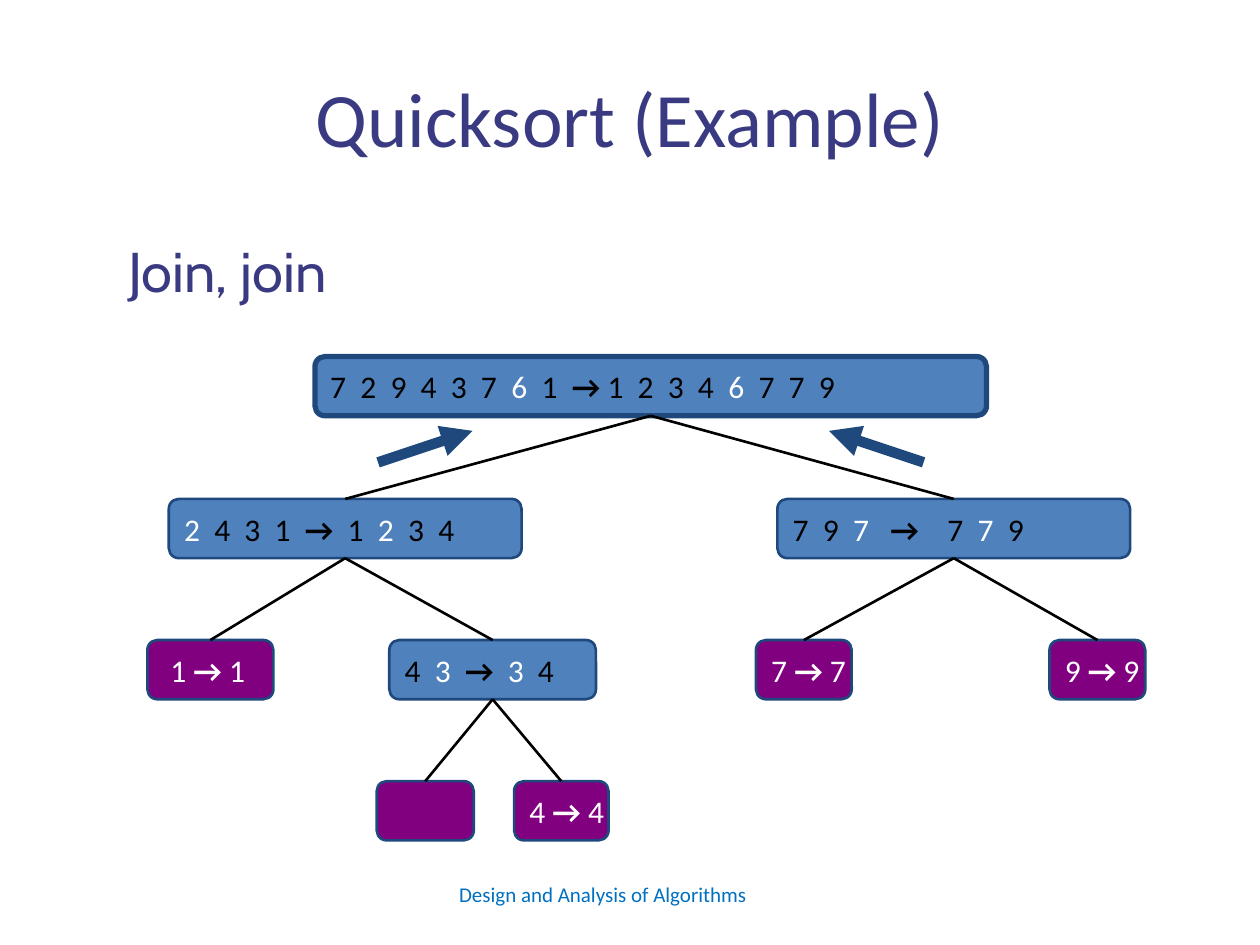
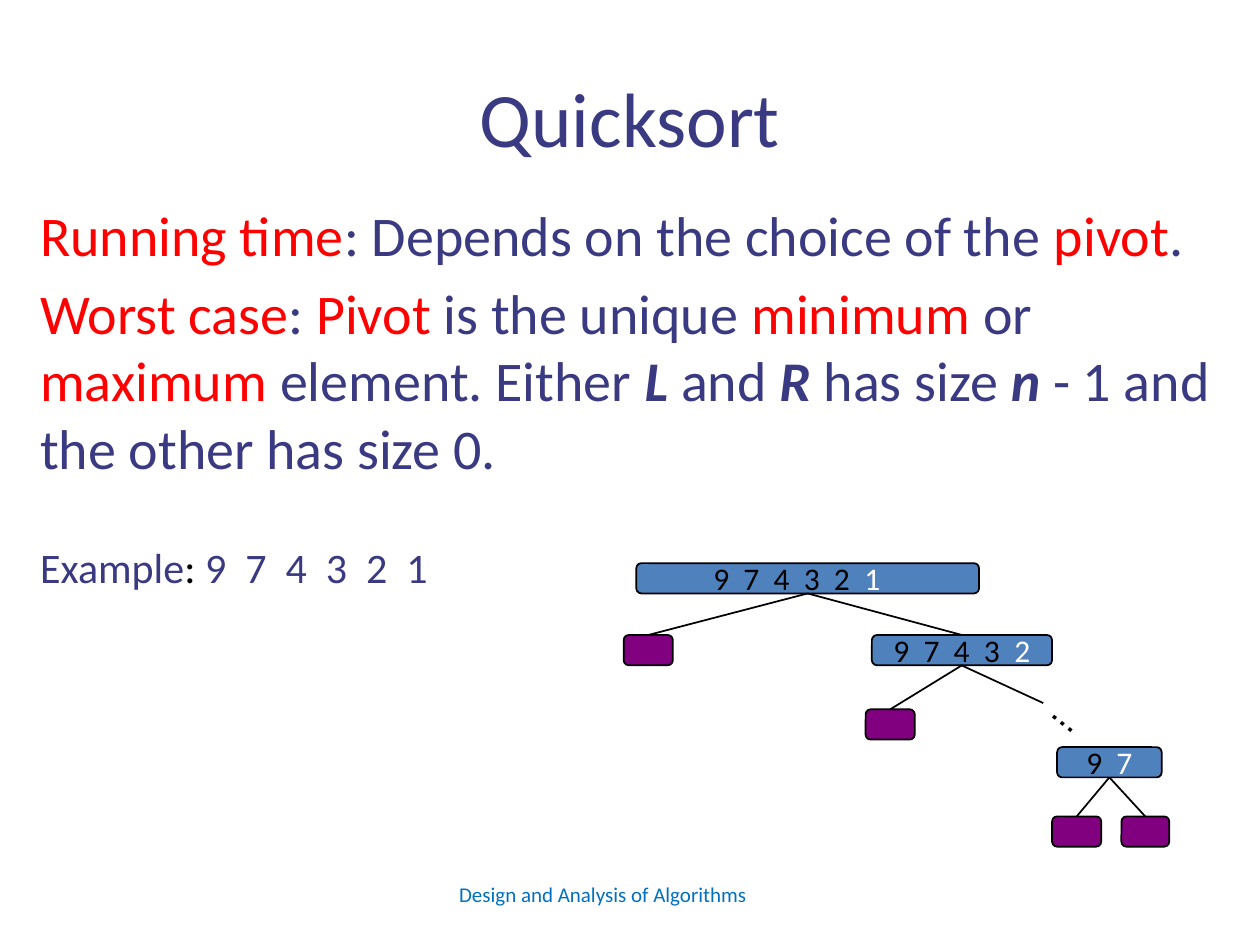
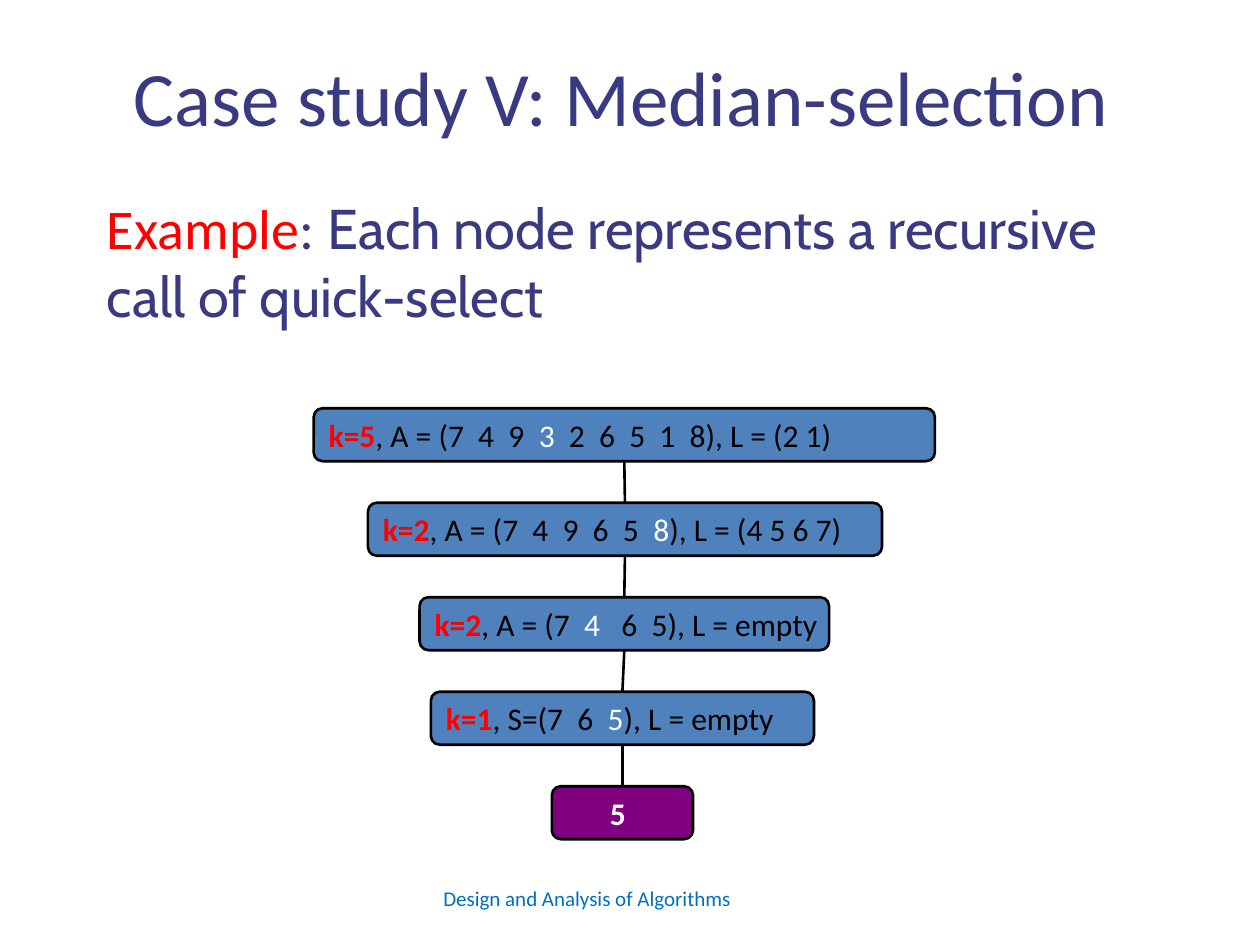
from lxml import etree
from pptx import Presentation
from pptx import util as u
from pptx.dml.color import RGBColor
from pptx.enum import shapes, text
from pptx.oxml.ns import qn

PX = 9144  # 100 px to the inch

NAVY = RGBColor(0x3A, 0x3A, 0x82)
RED = RGBColor(0xFF, 0x00, 0x00)
BLACK = RGBColor(0x00, 0x00, 0x00)
WHITE = RGBColor(0xFF, 0xFF, 0xFF)
BLUE = RGBColor(0x4F, 0x81, 0xBD)
DARK_BLUE = RGBColor(0x1F, 0x49, 0x7D)
PURPLE = RGBColor(0x80, 0x00, 0x80)
FOOTER_BLUE = RGBColor(0x00, 0x70, 0xC0)

LEFT, CENTER = text.PP_ALIGN.LEFT, text.PP_ALIGN.CENTER
TOP, MIDDLE = text.MSO_ANCHOR.TOP, text.MSO_ANCHOR.MIDDLE

# Run styles: colour and font settings
STYLES = {
    "black": (BLACK, {}),
    "white": (WHITE, {}),
    "navy": (NAVY, {}),
    "red": (RED, {}),
    "footer": (FOOTER_BLUE, {}),
    "arrow": (BLACK, {"bold": True}),
    "white bold": (WHITE, {"bold": True}),
    "key": (RED, {"bold": True}),
    "variable": (NAVY, {"bold": True, "italic": True}),
    "cabin": (NAVY, {"name": "Cabin"}),
    "dots": (BLACK, {"name": "Cabin"}),
}


def write(frame, paragraphs, size, align=LEFT, anchor=TOP, wrap=True, inset=10, before=0):
    """Fill a text frame with paragraphs, each a list of (style, words) runs."""
    frame.auto_size = text.MSO_AUTO_SIZE.NONE
    frame.word_wrap = wrap
    frame.vertical_anchor = anchor
    frame.margin_left = inset * PX
    for number, runs in enumerate(paragraphs):
        paragraph = frame.add_paragraph() if number else frame.paragraphs[0]
        paragraph.alignment = align
        paragraph.space_before = u.Pt(before)
        for style, words in runs:
            run = paragraph.add_run()
            run.text = words
            colour, settings = STYLES[style]
            for key, value in {"name": "Calibri", "size": u.Pt(size), **settings}.items():
                setattr(run.font, key, value)
            run.font.color.rgb = colour


def line(slide, start, end, colour, width):
    connector = slide.shapes.add_connector(
        shapes.MSO_CONNECTOR.STRAIGHT, *(v * PX for v in start + end))
    connector.line.color.rgb = colour
    connector.line.width = u.Pt(width)
    etree.SubElement(connector._element.spPr, qn("a:effectLst"))
    return connector


def_title = {"at": (50, 30, 900, 125), "align": CENTER, "anchor": MIDDLE, "inset": 10}
def_footer = {"at": (320, 690, 317, 40), "align": CENTER, "anchor": MIDDLE}


def_leaf = {"white": "white"}["white"]
SLIDES = [
    {
        "title": "Quicksort (Example)",
        "title format": def_title,
        "footer format": def_footer,
        "texts": [((92, 183, 850, 75), 32, 6.4, [[("cabin", "Join, join")]])],
        "outline": (DARK_BLUE, 1.5),
        # name: place, fill, left inset, runs
        "nodes": {
            "root": ((250, 283, 533, 47), BLUE, 10, [
                ("black", "7  2  9  4  3  7  "), ("white", "6"), ("black", "  1  "),
                ("arrow", "→"), ("black", " 1  2  3  4  "), ("white", "6  "),
                ("black", "7  7  9")]),
            "low": ((134, 396, 280, 47), BLUE, 10, [
                ("white", "2"), ("black", "  4  3  1  "), ("arrow", "→  "),
                ("black", "1  "), ("white", "2"), ("black", "  3  4")]),
            "high": ((617, 396, 280, 47), BLUE, 10, [
                ("black", "7  9  "), ("white", "7   "), ("arrow", "→"),
                ("black", "    7  "), ("white", "7"), ("black", "  9")]),
            "one": ((117, 508, 100, 47), PURPLE, 16, [
                ("white", "1 "), ("white bold", "→"), ("white", " 1")]),
            "four three": ((309, 508, 164, 47), BLUE, 10, [
                ("black", "4  "), ("white", "3  "), ("arrow", "→  "),
                ("white", "3  "), ("black", "4")]),
            "seven": ((600, 508, 76, 47), PURPLE, 10, [
                ("white", "7 "), ("white bold", "→"), ("white", " 7")]),
            "nine": ((833, 508, 76, 47), PURPLE, 10, [
                ("white", "9 "), ("white bold", "→"), ("white", " 9")]),
            "empty": ((299, 620, 77, 47), PURPLE, 10, []),
            "four": ((408, 620, 75, 47), PURPLE, 10, [
                ("white", "4 "), ("white bold", "→"), ("white", " 4")]),
        },
        "edges": [("root", "low"), ("root", "high"), ("low", "one"), ("low", "four three"),
                  ("high", "seven"), ("high", "nine"), ("four three", "empty"),
                  ("four three", "four")],
    },
    {
        "title": "Quicksort",
        "title format": def_title,
        "footer format": def_footer,
        "texts": [
            ((22, 154, 955, 658), 32, 6.4, [
                [("red", "Running time"), ("navy", ": Depends on the choice of the "),
                 ("red", "pivot"), ("navy", ".")],
                [("red", "Worst case"), ("navy", ": "), ("red", "Pivot"),
                 ("navy", " is the unique "), ("red", "minimum"), ("navy", " or "),
                 ("red", "maximum"), ("navy", " element. Either "), ("variable", "L"),
                 ("navy", " and "), ("variable", "R"), ("navy", " has size "),
                 ("variable", "n "), ("navy", "- 1 and the other has size 0.")]]),
            ((22, 425, 500, 50), 24, 0, [
                [("navy", "Example"), ("black", ": "), ("navy", "9  7  4  3  2  1")]]),
        ],
        "outline": (BLACK, 1),
        "nodes": {
            "six left": ((505, 447, 272, 24), BLUE, 60, [
                ("black", "9  7  4  3  2  "), ("white", "1")]),
            "below 1": ((495, 504, 39, 24), PURPLE, 10, []),
            "five left": ((692, 504, 143, 24), BLUE, 16, [
                ("black", "9  7  4  3  "), ("white", "2")]),
            "below 2": ((687, 563, 39, 24), PURPLE, 10, []),
            "two left": ((839, 593, 83, 24), BLUE, 22, [("black", "9  "), ("white", "7")]),
            "below 7": ((835, 648, 39, 24), PURPLE, 10, []),
            "above 7": ((890, 648, 38, 24), PURPLE, 10, []),
        },
        "edges": [("six left", "below 1"), ("six left", "five left"), ("five left", "below 2"),
                  ("two left", "below 7"), ("two left", "above 7")],
    },
    {
        "title": "Case study V: Median-selection",
        "title format": {"at": (21, 29, 932, 63), "align": LEFT, "anchor": TOP, "inset": 85},
        "footer format": {"at": (342, 698, 317, 40), "align": LEFT, "anchor": TOP},
        "texts": [((75, 149, 858, 217), 32, 6.4, [
            [("red", "Example"), ("navy", ": "),
             ("cabin", "Each node represents a recursive call of quick-select")]])],
        "outline": (BLACK, 1.5),
        "nodes": {
            "call 1": ((249, 324, 493, 42), BLUE, 10, [
                ("key", "k=5"), ("black", ", A = (7  4  9  "), ("white", "3"),
                ("black", "  2  6  5  1  8), L = (2 1)")]),
            "call 2": ((292, 399, 408, 42), BLUE, 10, [
                ("key", "k=2"), ("black", ", A = (7  4  9  6  5  "), ("white", "8"),
                ("black", "), L = (4 5 6 7)")]),
            "call 3": ((333, 474, 325, 42), BLUE, 10, [
                ("key", "k=2"), ("black", ", A = (7  "), ("white", "4"),
                ("black", "   6  5), L = empty")]),
            "call 4": ((342, 549, 304, 42), BLUE, 10, [
                ("key", "k=1"), ("black", ", S=(7  6  "), ("white", "5"),
                ("black", "), L = empty")]),
            "median": ((438, 624, 112, 42), PURPLE, 44, [("white bold", "5")]),
        },
        "edges": [("call 1", "call 2"), ("call 2", "call 3"), ("call 3", "call 4"),
                  ("call 4", "median")],
    },
]

deck = Presentation()
deck.slide_width, deck.slide_height = 1000 * PX, 750 * PX
title_only = deck.slide_layouts[5]

built = []
for content in SLIDES:
    slide = deck.slides.add_slide(title_only)
    built.append(slide)

    look = content["title format"]
    title = slide.shapes.title
    title.left, title.top, title.width, title.height = (v * PX for v in look["at"])
    write(title.text_frame, [[("navy", content["title"])]], 44,
          look["align"], look["anchor"], inset=look["inset"])
    if look["anchor"] == TOP:
        title.text_frame.margin_top = 10 * PX

    for place, size, before, paragraphs in content["texts"]:
        body = slide.shapes.add_textbox(*(v * PX for v in place))
        write(body.text_frame, paragraphs, size, before=before)

    outline, weight = content["outline"]
    nodes = {}
    for name, (place, fill, inset, runs) in content["nodes"].items():
        node = slide.shapes.add_shape(
            shapes.MSO_SHAPE.ROUNDED_RECTANGLE, *(v * PX for v in place))
        node.shadow.inherit = False
        node.fill.solid()
        node.fill.fore_color.rgb = fill
        node.line.color.rgb = outline
        node.line.width = u.Pt(3 if name == "root" else weight)
        write(node.text_frame, [runs], 18, anchor=MIDDLE, wrap=False, inset=inset)
        nodes[name] = node

    for parent, child in content["edges"]:
        edge = line(slide, (0, 0), (0, 0), BLACK, weight)
        edge.begin_connect(nodes[parent], 2)
        edge.end_connect(nodes[child], 0)

    look = content["footer format"]
    footer = slide.shapes.add_textbox(*(v * PX for v in look["at"]))
    write(footer.text_frame, [[("footer", "Design and Analysis of Algorithms")]], 12,
          look["align"], look["anchor"])

example, worst_case, _ = built

# Thick arrows show the sorted halves moving up to the root
for tail, tip in [((300, 367), (375, 342)), ((733, 367), (658, 342))]:
    join = line(example, tail, tip, DARK_BLUE, 6)
    etree.SubElement(join.line._get_or_add_ln(), qn("a:tailEnd"), type="triangle")

# The recursion goes on between five and two elements
line(worst_case, (763, 528), (828, 558), BLACK, 1)
dots = worst_case.shapes.add_textbox(*(v * PX for v in (829, 542, 47, 50)))
dots.rotation = 38.4
write(dots.text_frame, [[("dots", "…")]], 24, wrap=False)

deck.save("out.pptx")
